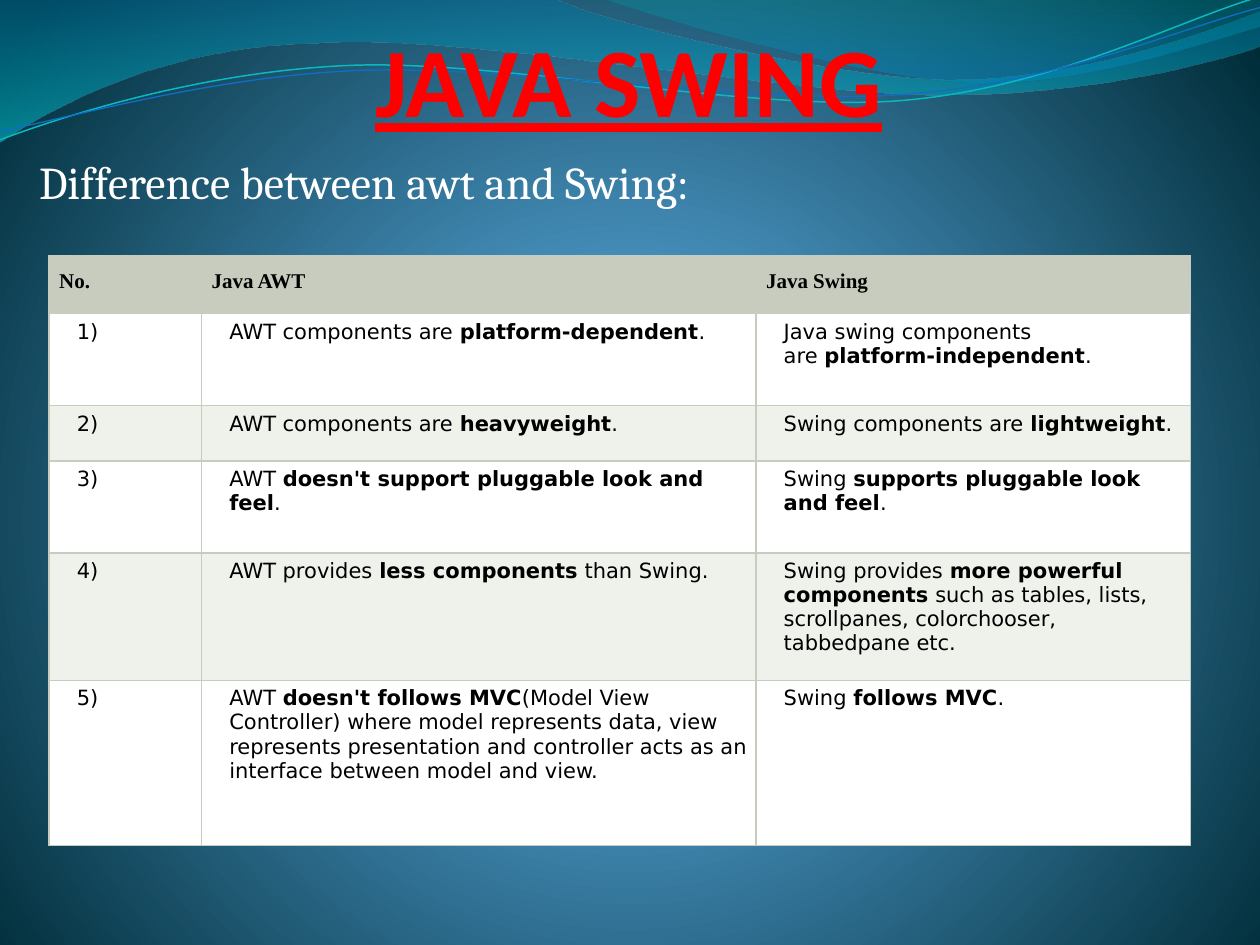
import math

import pptx
import pptx.dml.color
import pptx.enum.text
import pptx.oxml
import pptx.oxml.ns
import pptx.util
from pptx.util import Inches

ALIGN = pptx.enum.text.PP_ALIGN
ANCHOR = pptx.enum.text.MSO_ANCHOR
qn = pptx.oxml.ns.qn
NBSP = chr(160)


def color(hex_code):
    return pptx.dml.color.RGBColor.from_string(hex_code)


def xml(text):
    return pptx.oxml.parse_xml(text.replace(">", " " + pptx.oxml.ns.nsdecls("a") + ">", 1))


def gradient(stops, direction):
    """Gradient fill from (position %, colour, opacity %) stops."""
    marks = ""
    for pos, hex_code, opacity in stops:
        alpha = f'<a:alpha val="{opacity * 1000}"/>' if opacity < 100 else ""
        marks += (f'<a:gs pos="{pos * 1000}"><a:srgbClr val="{hex_code}">'
                  f'{alpha}</a:srgbClr></a:gs>')
    return xml(f'<a:gradFill rotWithShape="1"><a:gsLst>{marks}</a:gsLst>{direction}</a:gradFill>')


def turned_back(point, box, degrees):
    """Point before the box is rotated about its centre, from the box corner."""
    left, top, width, height = box
    x, y = point[0] - left - width / 2, point[1] - top - height / 2
    cos, sin = math.cos(math.radians(degrees)), math.sin(math.radians(degrees))
    return (Inches(x * cos + y * sin + width / 2), Inches(y * cos - x * sin + height / 2))


class SwingSlide:
    BLACK, WHITE, RED = "000000", "FFFFFF", "FF0000"
    HEADER, BAND = "C7CCBE", "EFF1EB"

    def __init__(self, deck):
        self.slide = deck.slides.add_slide(deck.slide_layouts[0])
        self.title, self.subtitle = self.slide.placeholders

    def background(self, stops):
        self.slide.background.fill.solid()
        properties = self.slide.element.find(".//" + qn("p:bgPr"))
        properties.replace(properties.find(qn("a:solidFill")), gradient(
            stops, '<a:path path="circle"><a:fillToRect l="10000" t="110000" '
                   'r="10000" b="100000"/></a:path>'))

    def wave(self, box, start, segments, stops=None, line=None, rotation=0):
        """Filled band (stops) or open line (colour, width) behind the text.

        A segment is a line (x, y) or a cubic curve (x1, y1, x2, y2, x, y).
        """
        curves = [[turned_back(pair, box, rotation) for pair in zip(s[::2], s[1::2])]
                  for s in [start, *segments]]
        ends = [curve[-1] for curve in curves]
        builder = self.slide.shapes.build_freeform(*ends[0], scale=1.0)
        builder.add_line_segments(ends[1:], close=stops is not None)
        shape = builder.convert_to_shape()
        shape.left, shape.top, shape.width, shape.height = map(Inches, box)
        shape.rotation = rotation
        shape.shadow.inherit = False

        # Bend the straight segments into curves
        outline = shape.element.find(".//" + qn("a:path"))
        outline.set("w", str(shape.width))
        outline.set("h", str(shape.height))
        for step, curve in zip(list(outline), curves):
            tag = "moveTo" if curve is curves[0] else "lnTo" if len(curve) == 1 else "cubicBezTo"
            points = "".join(f'<a:pt x="{x}" y="{y}"/>' for x, y in curve)
            outline.replace(step, xml(f"<a:{tag}>{points}</a:{tag}>"))

        shape.fill.background()
        if stops:
            properties = shape.element.spPr
            properties.replace(properties.find(qn("a:noFill")),
                               gradient(stops, '<a:lin ang="5400000" scaled="0"/>'))
            shape.line.fill.background()
        else:
            shape.line.color.rgb = color(line[0])
            shape.line.width = pptx.util.Pt(line[1])
        self.title.element.addprevious(shape.element)

    def style(self, run, font, size, hex_code, bold=False, underline=False):
        run.font.name, run.font.size = font, pptx.util.Pt(size)
        run.font.color.rgb = color(hex_code)
        run.font.bold, run.font.underline = bold, underline

    def placeholder(self, holder, text, box, anchor, align, inset, **look):
        holder.left, holder.top, holder.width, holder.height = map(Inches, box)
        frame = holder.text_frame
        frame.text = text
        frame.word_wrap = True
        frame.auto_size = pptx.enum.text.MSO_AUTO_SIZE.NONE
        frame.vertical_anchor = anchor
        frame.margin_left, frame.margin_right = 0, Inches(0.02)
        frame.margin_top = frame.margin_bottom = Inches(inset)
        paragraph = frame.paragraphs[0]
        paragraph.alignment = align
        self.style(paragraph.runs[0], **look)
        return paragraph

    def cell(self, cell, text, fill, header):
        properties = cell._tc.get_or_add_tcPr()
        for side in "LRTB":
            properties.append(xml(
                f'<a:ln{side} w="12700"><a:solidFill><a:srgbClr val="{self.HEADER}"/>'
                f'</a:solidFill></a:ln{side}>'))
        cell.fill.solid()
        cell.fill.fore_color.rgb = color(fill)
        inset = Inches(0.08 if header else 0.05)
        cell.margin_left = cell.margin_right = cell.margin_top = cell.margin_bottom = inset
        paragraph = cell.text_frame.paragraphs[0]
        paragraph.line_spacing = 1.15 if header else pptx.util.Pt(13.8)
        if not header:
            paragraph._p.get_or_add_pPr().set("marL", str(Inches(0.17)))
        # Text between ** marks is bold and joined by hard spaces
        parts = text.replace(" **", NBSP + "**").replace("** ", "**" + NBSP).split("**")
        for index, part in enumerate(parts):
            run = paragraph.add_run()
            run.text = part
            self.style(run, "Times New Roman" if header else "DejaVu Sans", 12,
                       self.BLACK, bold=header or index % 2 == 1)

    def table(self, rows, left, top, widths, heights):
        table = self.slide.shapes.add_table(
            len(rows), len(widths), Inches(left), Inches(top),
            Inches(sum(widths)), Inches(sum(heights))).table
        for column, width in zip(table.columns, widths):
            column.width = Inches(width)
        for number, (texts, height) in enumerate(zip(rows, heights)):
            table.rows[number].height = Inches(height)
            fill = self.HEADER if number == 0 else self.WHITE if number % 2 else self.BAND
            for column, text in enumerate(texts):
                self.cell(table.cell(number, column), text, fill, header=number == 0)


COMPARISON = [
    ("Java AWT", "Java Swing"),
    ("AWT components are **platform-dependent**.",
     "Java swing components are **platform-independent**."),
    ("AWT components are **heavyweight**.", "Swing components are **lightweight**."),
    ("AWT **doesn't support pluggable look and feel**.",
     "Swing **supports pluggable look and feel**."),
    ("AWT provides **less components** than Swing.",
     "Swing provides **more powerful components** such as tables, lists, "
     "scrollpanes, colorchooser, tabbedpane etc."),
    ("AWT **doesn't follows MVC**(Model View Controller) where model represents data, "
     "view represents presentation and controller acts as an interface between "
     "model and view.",
     "Swing **follows MVC**."),
]


def main():
    deck = pptx.Presentation()
    deck.slide_width, deck.slide_height = Inches(10), Inches(7.5)
    page = SwingSlide(deck)

    # Backdrop and waves
    page.background([(0, "4AA0D6", 100), (25, "4C98C7", 100), (100, "002C38", 100)])
    page.wave((-0.01, -0.01, 10.02, 1.14), (0, 0), [
        (4.4, -0.01), (4.76, 0.17, 6.64, 0.63, 7.58, 0.63), (8.53, 0.63, 9.58, 0.26, 10, 0.09),
        (10.01, 0.36), (9.83, 0.44, 8.7, 0.76, 7.46, 0.75), (6.22, 0.75, 3.82, 0.28, 2.57, 0.34),
        (1.29, 0.36, 0.46, 0.83, -0.01, 1.13), (0, 0)],
        stops=[(0, "0074A1", 45), (100, "00C6CF", 55)])
    page.wave((4.79, -0.01, 5.21, 0.7), (4.79, -0.01), [
        (5.09, 0.11, 6.82, 0.62, 7.69, 0.65), (8.56, 0.69, 9.61, 0.32, 10, 0.21), (10, 0),
        (4.79, -0.01)], stops=[(0, "00A1A9", 30), (80, "008BBF", 45)])
    page.wave((-0.02, 0.22, 10.02, 0.71), (0, 1.11), [
        (0.48, 0.93, 1.58, 0.57, 2.77, 0.52), (3.95, 0.47, 5.93, 0.89, 7.13, 0.8),
        (8.33, 0.71, 9.38, 0.15, 9.98, -0.02)], line=("0AB8BF", 0.85), rotation=357.3)
    page.wave((-0.02, 0.3, 10.03, 0.58), (0, 1.04), [
        (0.47, 0.96, 1.64, 0.61, 2.83, 0.56), (4.03, 0.51, 5.97, 0.84, 7.17, 0.75),
        (8.36, 0.67, 9.41, 0.21, 10, 0.06)], line=("0F6FC6", 0.75), rotation=357.3)

    # Title and lead-in
    page.placeholder(page.title, "JAVA SWING", (0.75, 0, 8.5, 1.09), ANCHOR.BOTTOM,
                     ALIGN.CENTER, 0, font="Calibri", size=56, hex_code=page.RED,
                     bold=True, underline=True)
    lead_in = page.placeholder(page.subtitle, "Difference between awt and Swing:",
                               (0.31, 1.17, 9.38, 5.86), ANCHOR.TOP, ALIGN.LEFT, 0.05,
                               font="Cambria", size=26, hex_code=page.WHITE)
    lead_in.space_before = pptx.util.Pt(5.2)

    # Comparison table
    rows = [(f"{number})" if number else "No.", *pair)
            for number, pair in enumerate(COMPARISON)]
    page.table(rows, 0.39, 2.03, [1.21, 4.4, 3.45], [0.46, 0.73, 0.44, 0.73, 1.01, 1.31])

    deck.save("out.pptx")


if __name__ == "__main__":
    main()
